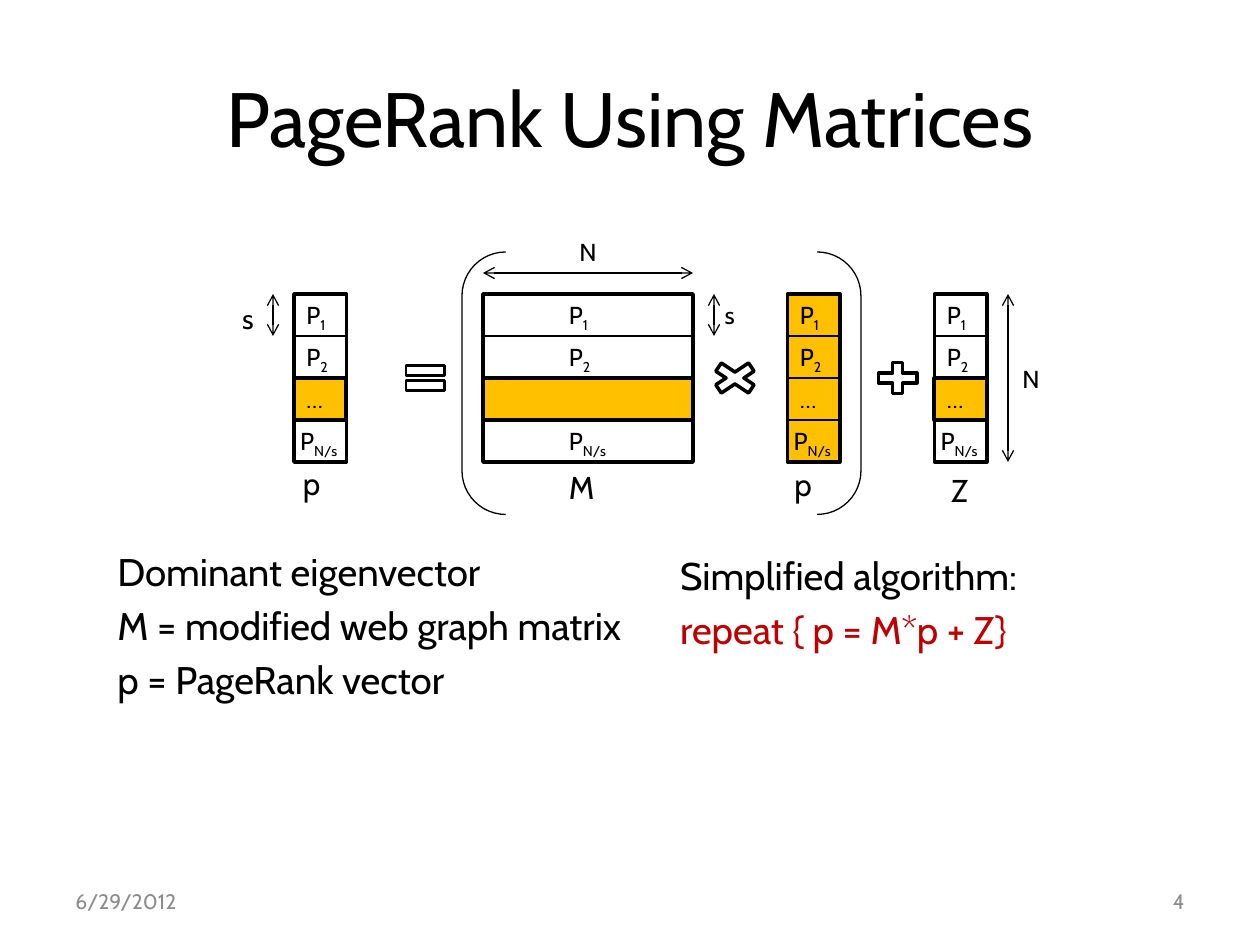
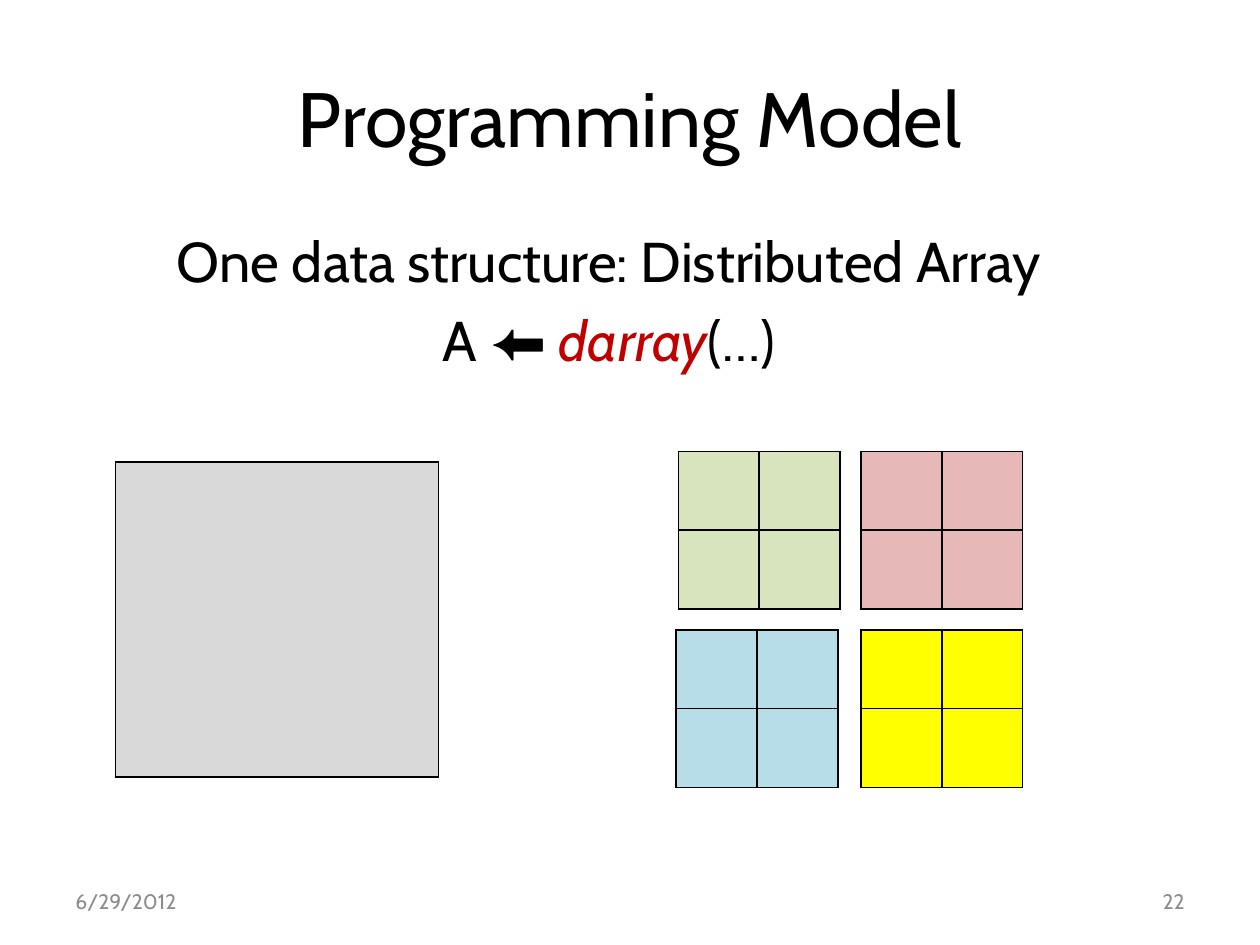
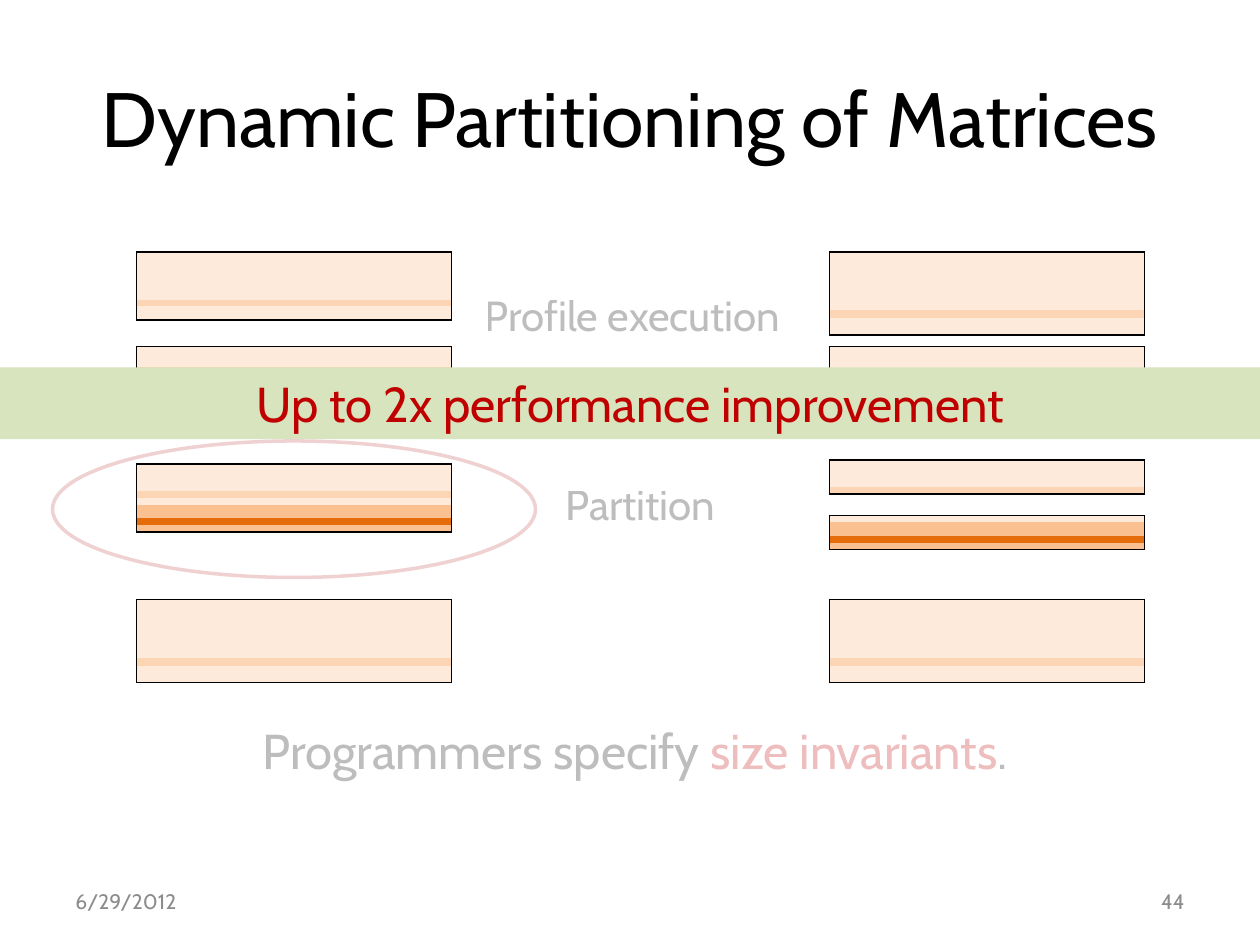
import pptx
import pptx.util
import pptx.dml.color
import pptx.enum.shapes
import pptx.enum.text
import pptx.oxml.ns
import lxml.etree

SHAPE = pptx.enum.shapes.MSO_SHAPE
ALIGN = pptx.enum.text.PP_ALIGN
ANCHOR = pptx.enum.text.MSO_ANCHOR
qn = pptx.oxml.ns.qn

FONT = "Cabin"
BLACK, GREY, RED, AMBER = "000000", "8C8C8C", "C00000", "FFC000"
GREEN, ROSE, BLUE, YELLOW, SILVER = "D7E4BD", "E6B9B8", "B7DEE8", "FFFF00", "D9D9D9"
DENSITY = {"0": "FDEADA", "1": "FCD5B5", "2": "FAC090", "3": "E46C0A"}
PLAIN_TABLE = "{2D5ABB26-0587-4C30-8999-92F81FD0307C}"
COLUMNS, ROWS = 120, 90
FADED = 25

deck = pptx.Presentation()
deck.slide_width = pptx.util.Inches(10)
deck.slide_height = pptx.util.Inches(7.5)


def grid(*cells):
    return [round(cell * deck.slide_width / COLUMNS) for cell in cells]


def colour(hex_code):
    return pptx.dml.color.RGBColor.from_string(hex_code)


def add_xml(parent, tag, **attributes):
    return lxml.etree.SubElement(parent, qn(tag), attributes)


def fade(element, percent):
    for swatch in element.iter(qn("a:srgbClr")):
        add_xml(swatch, "a:alpha", val=str(percent * 1000))


def write(frame, paragraphs, size, align=ALIGN.LEFT, before=0, hanging=0, anchor=ANCHOR.TOP):
    frame.word_wrap = True
    frame.vertical_anchor = anchor
    for index, runs in enumerate(paragraphs):
        paragraph = frame.add_paragraph() if index else frame.paragraphs[0]
        paragraph.alignment = align
        paragraph.space_before = pptx.util.Pt(before)
        indent = grid(hanging)[0]
        properties = paragraph._p.get_or_add_pPr()
        properties.set("marL", str(indent))
        properties.set("indent", str(-indent))
        add_xml(properties, "a:buNone")
        for words, look in runs:
            run = paragraph.add_run()
            run.text = words
            run.font.name = FONT
            run.font.size = pptx.util.Pt(size)
            run.font.color.rgb = colour(look.get("colour", BLACK))
            if look.get("italic"):
                run.font.italic = True
            if look.get("subscript"):
                run._r.get_or_add_rPr().set("baseline", "-25000")
            if look.get("alpha"):
                fade(run._r, look["alpha"])


def label(shapes, box, paragraphs, size, **layout):
    write(shapes.add_textbox(*grid(*box)).text_frame, paragraphs, size, **layout)


def outline(shapes, kind, box, fill=None, line=BLACK, weight=2):
    shape = shapes.add_shape(kind, *grid(*box))
    shape.shadow.inherit = False
    if fill:
        shape.fill.solid()
        shape.fill.fore_color.rgb = colour(fill)
    else:
        shape.fill.background()
    if line:
        shape.line.color.rgb = colour(line)
        shape.line.width = pptx.util.Pt(weight)
    else:
        shape.line.fill.background()
    return shape


def rule(shapes, start, end, arrows=False):
    line = shapes.add_connector(pptx.enum.shapes.MSO_CONNECTOR.STRAIGHT, *grid(*start, *end))
    line.line.color.rgb = colour(BLACK)
    line.line.width = pptx.util.Pt(0.75)
    if arrows:
        stroke = line.line._get_or_add_ln()
        add_xml(stroke, "a:headEnd", type="arrow")
        add_xml(stroke, "a:tailEnd", type="arrow")
    add_xml(line._element.spPr, "a:effectLst")


def cell_borders(cell, sides):
    properties = cell._tc.get_or_add_tcPr()
    for position, (side, alpha) in enumerate(sides):
        border = lxml.etree.Element(qn("a:ln" + side), w="12700")
        paint = add_xml(border, "a:solidFill")
        add_xml(paint, "a:srgbClr", val=BLACK)
        if alpha < 100:
            fade(border, alpha)
        properties.insert(position, border)


def matrix(slide, box, fills, borders):
    rows, columns = len(fills), len(fills[0])
    table = slide.shapes.add_table(rows, columns, *grid(*box)).table
    table.first_row = table.horz_banding = False
    table._tbl.tblPr.find(qn("a:tableStyleId")).text = PLAIN_TABLE
    for column in table.columns:
        column.width = grid(box[2] / columns)[0]
    for r, row in enumerate(table.rows):
        row.height = grid(box[3] / rows)[0]
        for c, cell in enumerate(row.cells):
            cell.margin_left = cell.margin_right = cell.margin_top = cell.margin_bottom = 0
            cell.fill.solid()
            cell.fill.fore_color.rgb = colour(fills[r][c])
            add_xml(cell.text_frame.paragraphs[0]._p, "a:endParaRPr", sz="100")
            cell_borders(cell, borders(r, c, rows, columns))


def framed_grid(r, c, rows, columns):
    edges = {"L": c == 0, "R": c == columns - 1, "T": r == 0, "B": r == rows - 1}
    return [(side, FADED if outer else 100) for side, outer in edges.items()]


def frame_only(r, c, rows, columns):
    edges = {"L": c == 0, "R": c == columns - 1, "T": r == 0, "B": r == rows - 1}
    return [(side, 100) for side, outer in edges.items() if outer]


def new_slide(layout, title, number):
    slide = deck.slides.add_slide(deck.slide_layouts[layout])
    write(slide.shapes.title.text_frame, [[(title, {})]], 44, ALIGN.CENTER, anchor=ANCHOR.MIDDLE)
    footers = ((6, "6/29/2012", ALIGN.LEFT), (86, number, ALIGN.RIGHT))
    for left, words, align in footers:
        label(slide.shapes, (left, 83.4, 28, 4.8), [[(words, {"colour": GREY})]], 12,
              align=align, anchor=ANCHOR.MIDDLE)
    return slide


def block_matrix(shapes, box, name, name_at, inset=0, fill=None, dots=True):
    left, top, width, height = box
    block = height / 4
    outline(shapes, SHAPE.RECTANGLE, box, fill)
    for step in (1, 2, 3):
        rule(shapes, (left, top + step * block), (left + width, top + step * block))
    for step, index in ((0, "1"), (1, "2"), (3, "N/s")):
        nudge = -0.6 if step == 3 and not inset else 0
        label(shapes, (left + inset + nudge, top + step * block, 8 if step == 3 else 6, block),
              [[("P", {}), (index, {"subscript": True})]], 14)
    ellipsis = [[("…", {})]]
    third = (left, top + 2 * block, width, block)
    if fill:
        label(shapes, third, ellipsis, 14)
    else:
        chosen = outline(shapes, SHAPE.RECTANGLE, third, AMBER, weight=2.25)
        if dots:
            write(chosen.text_frame, ellipsis, 14)
    label(shapes, (*name_at, 11, 4.8), [[(name, {})]], 18)


def equation(slide, left, top):
    shapes = slide.shapes.add_group_shape().shapes
    height, middle = 16, top + 6
    rank, web, old, jump = left, left + 18, left + 47, left + 61
    bottom = top + height

    block_matrix(shapes, (web, top, 20, height), "M", (web + 7, bottom), 7, dots=False)
    block_matrix(shapes, (old, top, 5, height), " p", (old - 1.2, bottom - 0.3), fill=AMBER)
    block_matrix(shapes, (rank, top, 5, height), " p", (rank - 1, bottom - 0.4))
    block_matrix(shapes, (jump, top, 5, height), "Z", (jump + 0.4, bottom + 0.3))

    equals = outline(shapes, SHAPE.MATH_EQUAL, (rank + 10, middle, 5, 4), weight=1.5)
    equals.adjustments[0], equals.adjustments[1] = 0.235, 0.118
    outline(shapes, SHAPE.MATH_MULTIPLY, (web + 21, middle, 6, 4))
    outline(shapes, SHAPE.MATH_PLUS, (jump - 6, middle, 5, 4))
    outline(shapes, SHAPE.DOUBLE_BRACKET, (web - 2, top - 4, 38, 25), weight=0.75)

    spans = (
        ((rank - 2, top), (rank - 2, top + 4), "s", (rank - 8.9, top + 0.1), 16),
        ((web + 22, top), (web + 22, top + 4), "s", (web + 19, top), 14),
        ((web, top - 2), (web + 20, top - 2), "N", (web + 5.5, top - 6), 14),
        ((jump + 7, top), (jump + 7, bottom), "N", (jump + 4.7, middle + 0.1), 14),
    )
    for start, end, words, corner, size in spans:
        rule(shapes, start, end, arrows=True)
        label(shapes, (*corner, 9, 4), [[(words, {})]], size, align=ALIGN.CENTER)


def pagerank_slide():
    slide = new_slide(5, "PageRank Using Matrices", "4")
    equation(slide, 28, 28)
    legend = ("Dominant eigenvector", "M = modified web graph matrix", "p = PageRank vector")
    label(slide.shapes, (10, 51.6, 51.5, 19.3), [[(words, {})] for words in legend], 22,
          before=4.4, hanging=4.5)
    algorithm = [[("Simplified algorithm:  ", {})], [("repeat { p = M*p + Z}", {"colour": RED})]]
    label(slide.shapes, (63.6, 52, 51.5, 19), algorithm, 22, before=4.4, hanging=4.5)


def programming_slide():
    slide = new_slide(1, "Programming Model", "22")
    body = slide.placeholders[1]
    body.left, body.top, body.width, body.height = grid(6, 21, 104, 18)
    write(body.text_frame, [
        [("One data structure: Distributed Array", {})],
        [("A ⬅ ", {}), ("darray", {"colour": RED, "italic": True}), ("(…)", {})],
    ], 32, ALIGN.CENTER, before=6.4)
    matrix(slide, (11, 44, 30.75, 30), [[SILVER]], framed_grid)
    partitions = ((64.6, 43, GREEN), (82, 43, ROSE), (64.4, 60, BLUE), (82, 60, YELLOW))
    for left, top, fill in partitions:
        matrix(slide, (left, top, 15.4, 15), [[fill] * 2] * 2, framed_grid)


def density_stack(slide, left, blocks):
    for top, row_height, pattern in blocks:
        matrix(slide, (left, top, 30, row_height * len(pattern)),
               [[DENSITY[level]] for level in pattern], frame_only)


def partitioning_slide():
    slide = new_slide(5, "Dynamic Partitioning of Matrices", "44")
    shapes = slide.shapes
    focus = outline(shapes, SHAPE.OVAL, (5, 42, 46, 13), "FFFFFF", "C0504D")
    fade(focus._element.spPr, FADED)

    sparse, mixed, dense = "0000000100", "0001100001", "0000102232"
    tight, loose = 0.65, 0.79
    density_stack(slide, 13, ((24, tight, sparse), (33, tight, mixed),
                              (44.2, tight, dense), (57.1, loose, sparse)))
    density_stack(slide, 79, ((24, loose, sparse), (33, loose, mixed), (57.1, loose, sparse)))

    pale, pale_red = {"alpha": FADED}, {"alpha": FADED, "colour": RED}
    label(shapes, (45, 27, 32, 6), [[("Profile execution", pale)]], 24)
    label(shapes, (45, 45, 32, 6), [[("Partition", pale)]], 24, align=ALIGN.CENTER)
    label(shapes, (6, 68, 110, 6.8),
          [[("Programmers specify ", pale), ("size invariants", pale_red), (". ", pale)]],
          28, align=ALIGN.CENTER)

    banner = outline(shapes, SHAPE.RECTANGLE, (0, 35, COLUMNS, 6.84), GREEN, None)
    write(banner.text_frame, [[("Up to 2x performance improvement", {"colour": RED})]],
          28, ALIGN.CENTER)
    density_stack(slide, 79, ((43.8, tight, dense[:5]), (49.1, tight, dense[5:])))


pagerank_slide()
programming_slide()
partitioning_slide()
deck.save("out.pptx")
